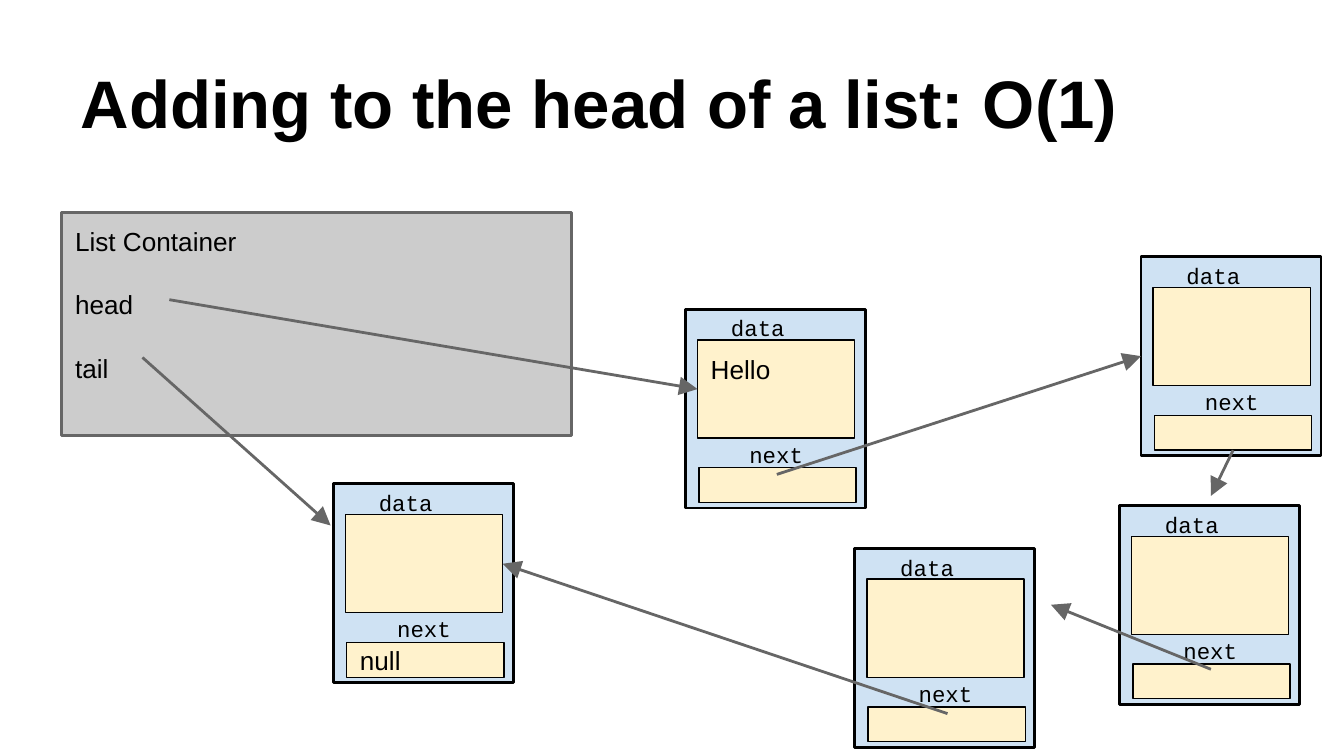
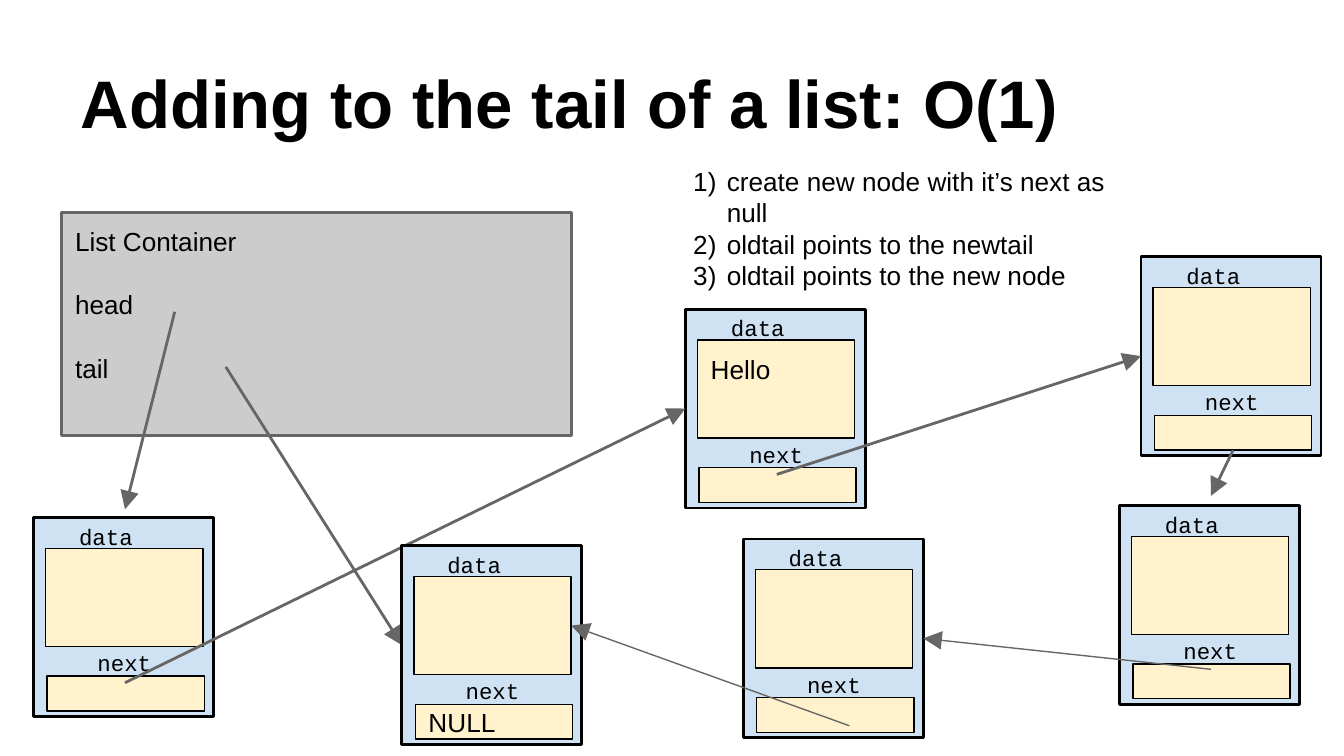
from lxml import etree
from pptx import Presentation
from pptx.dml.color import RGBColor
from pptx.enum.shapes import MSO_CONNECTOR, MSO_SHAPE
from pptx.enum.text import MSO_ANCHOR, MSO_AUTO_SIZE, PP_ALIGN
from pptx.oxml.ns import qn
from pptx.util import Inches, Pt

BLACK = RGBColor(0x00, 0x00, 0x00)
DARK = RGBColor(0x66, 0x66, 0x66)
GREY = RGBColor(0xCC, 0xCC, 0xCC)
BLUE = RGBColor(0xCF, 0xE2, 0xF3)
CREAM = RGBColor(0xFF, 0xF2, 0xCC)
LEFT, CENTER = PP_ALIGN.LEFT, PP_ALIGN.CENTER
TOP, MIDDLE, BOTTOM = MSO_ANCHOR.TOP, MSO_ANCHOR.MIDDLE, MSO_ANCHOR.BOTTOM
RECT, STRAIGHT = MSO_SHAPE.RECTANGLE, MSO_CONNECTOR.STRAIGHT
NO_FIT = MSO_AUTO_SIZE.NONE
SANS, MONO = "Arial", "Courier New"
WEST, SOUTH, EAST = 1, 2, 3  # connection sites of a rectangle

# Parts are drawn in order, back to front:
#   ("node", name, left, top, data text, next text)
#   ("link", start, end, line width), an end being a point or (node, cell, site)
#   ("list",) for the container and ("steps", lines) for the numbered text
HELLO = ("node", "hello", 5.1, 2.3, "Hello", "")
UPPER = ("node", "upper", 8.49, 1.91, "", "")
LOWER = ("node", "lower", 8.33, 3.76, "", "")
SHARED = [
    ("link", (5.78, 3.53), ("upper", "box", WEST), 1.5),
    ("link", ("upper", "next", SOUTH), (9.01, 3.69), 1.5),
]
SLIDES = [
    ("Adding to the head of a list: O(1)", [
        HELLO, LOWER,
        ("node", "tail", 2.48, 3.6, "", "null"),
        UPPER,
        ("node", "fourth", 6.36, 4.08, "", ""),
        ("list",),
        ("link", (1.26, 2.23), ("hello", "data", WEST), 1.5),
        *SHARED,
        ("link", (9.01, 4.98), (7.82, 4.5), 1.5),
        ("link", (7.05, 5.31), ("tail", "data", EAST), 1.5),
        ("link", (1.06, 2.66), (2.46, 3.91), 1.5),
    ]),
    ("Adding to the tail of a list: O(1)", [
        HELLO, LOWER, UPPER,
        ("list",),
        *SHARED,
        ("link", (1.68, 2.73), ("tail", "box", WEST), 1.5),
        ("node", "head", 0.25, 3.85, "", ""),
        ("steps", ["create new node with it’s next as null",
                   "oldtail points to the newtail",
                   "oldtail points to the new node"]),
        ("link", (0.93, 5.08), ("hello", "box", WEST), 1.5),
        ("link", (1.3, 2.32), (0.93, 3.79), 1.5),
        ("node", "fifth", 5.53, 4.01, "", ""),
        ("link", (9.01, 4.98), ("fifth", "box", EAST), 0.75),
        ("node", "tail", 2.99, 4.06, "", "NULL"),
        ("link", (6.32, 5.4), ("tail", "data", EAST), 0.75),
    ]),
]


def write(shape, lines, size=14, font=SANS, bold=False, align=LEFT,
          anchor=TOP, gap=0, number=False):
    frame = shape.text_frame
    frame.word_wrap = True
    frame.auto_size = NO_FIT
    frame.vertical_anchor = anchor
    frame.margin_left = frame.margin_right = Inches(0.1)
    frame.margin_top = frame.margin_bottom = Inches(0.1)
    for i, line in enumerate(lines):
        para = frame.paragraphs[0] if i == 0 else frame.add_paragraph()
        para.alignment = align
        para.space_before = Pt(gap if i else 0)
        if number:
            props = para._p.get_or_add_pPr()
            props.set("marL", str(Inches(0.5)))
            props.set("indent", str(Inches(-0.25)))
            etree.SubElement(props, qn("a:buAutoNum"), type="arabicParenR")
        run = para.add_run()
        run.text = line
        run.font.size, run.font.name, run.font.bold = Pt(size), font, bold
        run.font.color.rgb = BLACK


def add_box(slide, at, fill, line=BLACK, width=0.75):
    box = slide.shapes.add_shape(RECT, *map(Inches, at))
    box.shadow.inherit = False
    box.fill.solid()
    box.fill.fore_color.rgb = fill
    box.line.color.rgb = line
    box.line.width = Pt(width)
    return box


def add_text(slide, at, lines, **style):
    write(slide.shapes.add_textbox(*map(Inches, at)), lines, **style)


def add_node(slide, x, y, data, after):
    """Draw a list node and return its frame and cells by name."""
    box = add_box(slide, (x, y, 1.34, 1.48), BLUE, width=1.5)
    link = add_box(slide, (x + 0.1, y + 1.18, 1.17, 0.26), CREAM)
    if after:
        write(link, [after], anchor=MIDDLE)
    for label, drop, align in (("next", 0.88, CENTER), ("data", -0.06, LEFT)):
        add_text(slide, (x + 0.24, y + drop, 0.87, 0.35), [label],
                 size=12, font=MONO, align=align)
    value = add_box(slide, (x + 0.09, y + 0.23, 1.17, 0.73), CREAM)
    if data:
        write(value, [data])
    return {"box": box, "next": link, "data": value}


def add_list(slide):
    box = add_box(slide, (0.46, 1.58, 3.79, 1.66), GREY, DARK, 1.5)
    write(box, ["List Container", "head", "tail"], gap=17)


def add_link(slide, start, end, width):
    """Draw an arrow; a joined end waits at the free end until it is glued."""
    first = start if len(start) == 2 else end
    last = end if len(end) == 2 else start
    link = slide.shapes.add_connector(STRAIGHT, *map(Inches, first + last))
    link.line.color.rgb = DARK
    link.line.width = Pt(width)
    etree.SubElement(link.line._get_or_add_ln(), qn("a:tailEnd"),
                     type="triangle", w="lg", len="lg")
    etree.SubElement(link._element.spPr, qn("a:effectLst"))
    return link


def add_slide(deck, title, parts):
    slide = deck.slides.add_slide(deck.slide_layouts[5])
    head = slide.shapes.title
    head.left, head.top, head.width, head.height = map(
        Inches, (0.5, 0.22, 9, 0.94))
    write(head, [title], size=36, bold=True, anchor=BOTTOM)
    nodes, links = {}, []
    for kind, *args in parts:
        if kind == "node":
            name, *rest = args
            nodes[name] = add_node(slide, *rest)
        elif kind == "link":
            links.append((add_link(slide, *args), args))
        elif kind == "list":
            add_list(slide)
        else:
            add_text(slide, (4.81, 1.13, 3.53, 1.11), *args, number=True)
    for link, (start, end, _) in links:
        for spot, join in ((start, link.begin_connect),
                           (end, link.end_connect)):
            if len(spot) == 3:
                name, cell, site = spot
                join(nodes[name][cell], site)


def main():
    deck = Presentation()
    deck.slide_width = Inches(10)
    deck.slide_height = deck.slide_width * 9 // 16
    for title, parts in SLIDES:
        add_slide(deck, title, parts)
    deck.save("out.pptx")


if __name__ == "__main__":
    main()
